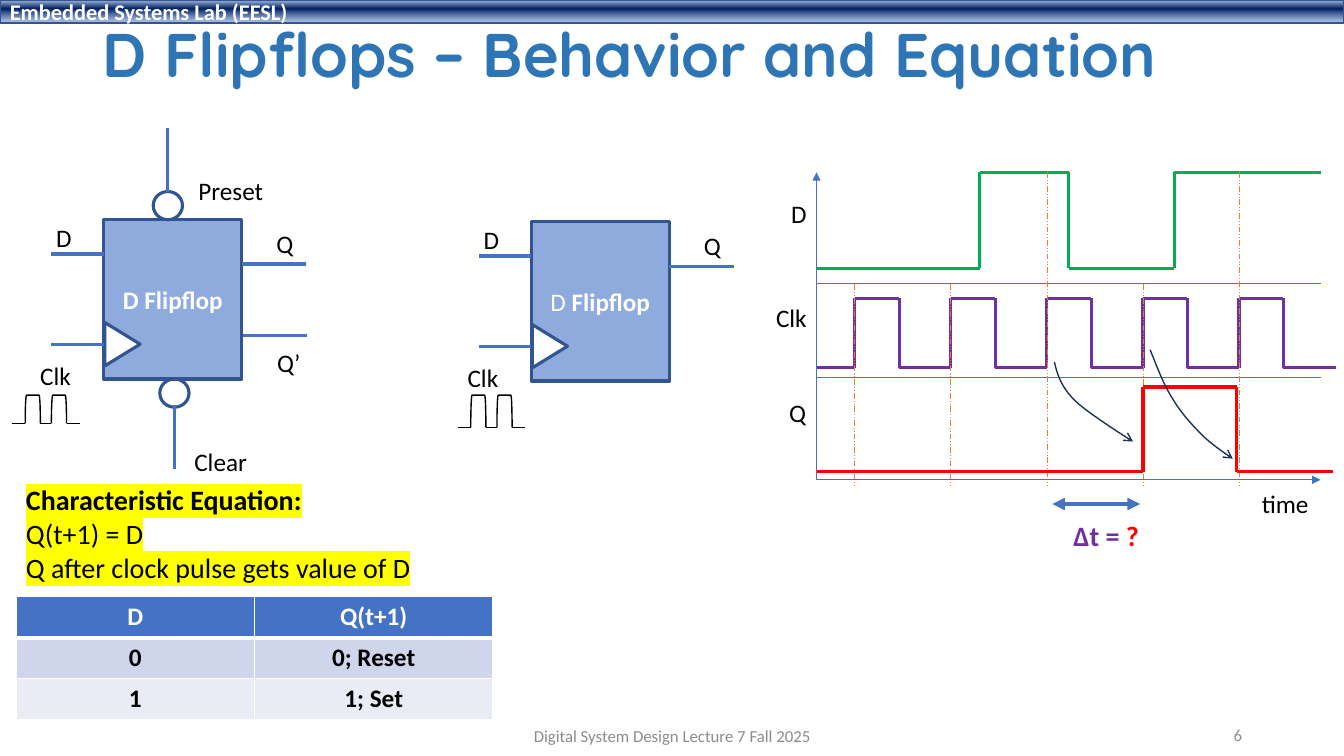
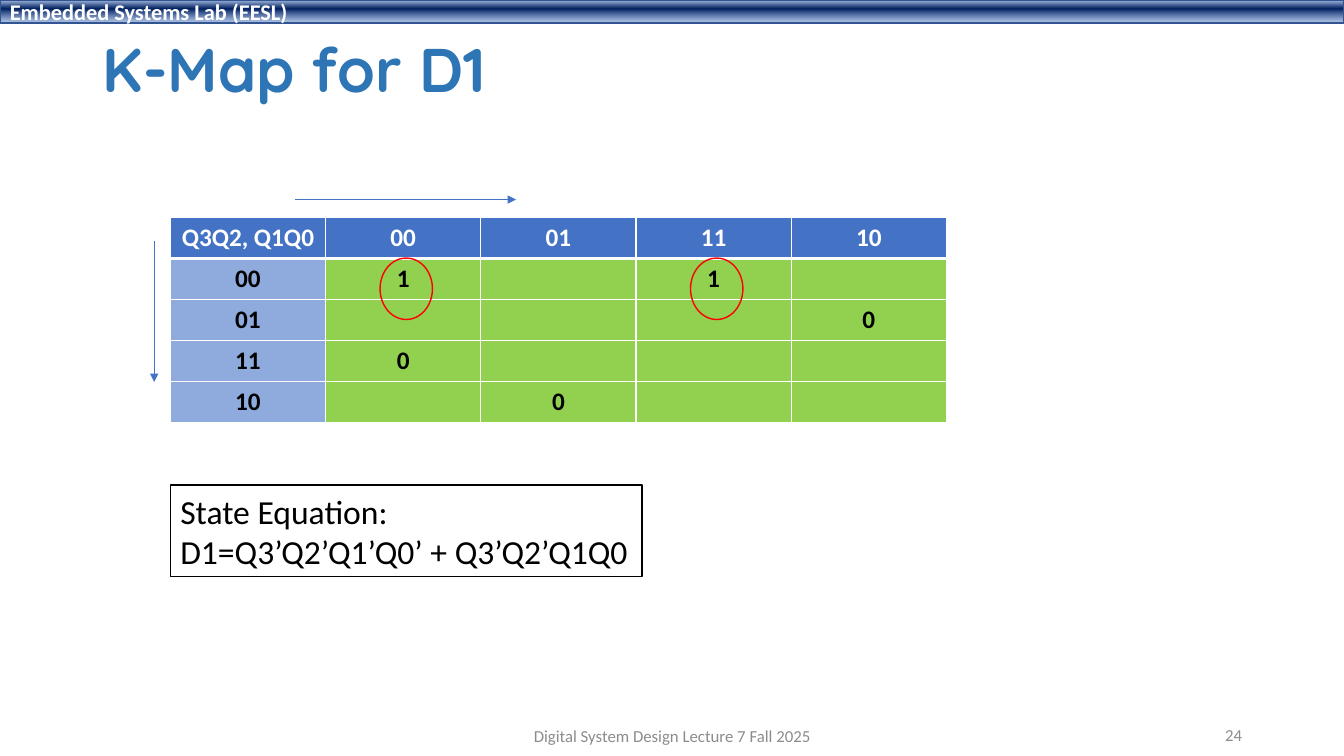
from dataclasses import dataclass
from itertools import pairwise

from lxml.etree import SubElement
from pptx import Presentation
from pptx.dml.color import RGBColor
from pptx.enum.dml import MSO_LINE
from pptx.enum.shapes import MSO_CONNECTOR, MSO_SHAPE
from pptx.enum.text import MSO_ANCHOR, MSO_AUTO_SIZE, PP_ALIGN
from pptx.oxml.ns import qn
from pptx.util import Inches, Pt

COLORS = {
    "white": "FFFFFF", "black": "000000", "title": "2E75B6", "blue": "4472C4",
    "outline": "325491", "chip": "8FAADC", "gray": "8C8C8C", "yellow": "FFFF00",
    "green": "00B050", "purple": "7030A0", "red": "FF0000", "orange": "ED7D31",
    "navy": "1E3256", "band_top": "ABC0E4", "band_middle": "002060",
    "band_bottom": "7E9ED6", "row_dark": "CFD5EA", "row_light": "E9EBF5",
    "map_cell": "92D050",
}
BODY_FONT = "Calibri"
TITLE_FONT = "Quicksand"
CELLS_PER_INCH = 10
COLUMNS, ROWS = 133.33, 75
BAND_STOPS = [(2, "band_top", 100), (38, "band_middle", 100), (93, "band_bottom", 64)]


@dataclass
class Span:
    text: str
    size: int = 18
    color: str = "black"
    bold: bool = False
    highlight: str = ""
    font: str = BODY_FONT


def cells(count):
    return Inches(count / CELLS_PER_INCH)


def grid(*counts):
    return [cells(count) for count in counts]


def rgb(name):
    return RGBColor.from_string(COLORS[name])


def add_color(parent, name):
    return SubElement(parent, qn("a:srgbClr"), val=COLORS[name])


def write_text(frame, paragraphs, align=PP_ALIGN.LEFT):
    for index, spans in enumerate(paragraphs):
        para = frame.add_paragraph() if index else frame.paragraphs[0]
        para.alignment = align
        for span in spans:
            run = para.add_run()
            run.text = span.text
            run.font.name = span.font
            run.font.size = Pt(span.size)
            run.font.bold = span.bold
            run.font.color.rgb = rgb(span.color)
            if span.highlight:
                properties = run.font.fill._xPr
                marker = SubElement(properties, qn("a:highlight"))
                add_color(marker, span.highlight)
                properties.find(qn("a:solidFill")).addnext(marker)


def add_label(canvas, place, *paragraphs):
    box = canvas.add_textbox(*grid(*place))
    box.text_frame.word_wrap = False
    box.text_frame.auto_size = MSO_AUTO_SIZE.SHAPE_TO_FIT_TEXT
    write_text(box.text_frame, paragraphs)


def add_box(canvas, kind, place, fill=None, outline="outline", width=2.25):
    box = canvas.add_shape(kind, *grid(*place))
    box.shadow.inherit = False
    if fill:
        box.fill.solid()
        box.fill.fore_color.rgb = rgb(fill)
    else:
        box.fill.background()
    box.line.color.rgb = rgb(outline)
    box.line.width = Pt(width)
    return box


def add_arrowheads(shape, heads):
    for end, kind in heads.items():
        SubElement(shape.line._get_or_add_ln(), qn(f"a:{end}End"), type=kind)


def add_line(canvas, start, end, color="blue", width=2.25, dash=None, **heads):
    line = canvas.add_connector(MSO_CONNECTOR.STRAIGHT, *grid(*start, *end))
    line.line.color.rgb = rgb(color)
    line.line.width = Pt(width)
    if dash:
        line.line.dash_style = dash
    add_arrowheads(line, heads)
    SubElement(line.element.spPr, qn("a:effectLst"))


def add_trace(canvas, points, color):
    for start, end in pairwise(points):
        add_line(canvas, start, end, color)


def bezier_points(start, controls, steps=10):
    points = [start]
    for first, second, end in controls:
        for step in range(1, steps + 1):
            t = step / steps
            weights = ((1 - t) ** 3, 3 * t * (1 - t) ** 2, 3 * t * t * (1 - t), t ** 3)
            corners = list(zip(weights, (start, first, second, end)))
            points.append(tuple(sum(w * corner[axis] for w, corner in corners) for axis in (0, 1)))
        start = end
    return points


def add_curved_arrow(canvas, start, *controls):
    points = [grid(*point) for point in bezier_points(start, controls)]
    builder = canvas.build_freeform(*points[0])
    builder.add_line_segments(points[1:], close=False)
    curve = builder.convert_to_shape()
    curve.shadow.inherit = False
    curve.fill.background()
    curve.line.color.rgb = rgb("navy")
    curve.line.width = Pt(1)
    add_arrowheads(curve, {"tail": "arrow"})


def set_borders(cell, top, bottom):
    properties = cell._tc.get_or_add_tcPr()
    for side, width in (("L", 1), ("R", 1), ("T", top), ("B", bottom)):
        border = SubElement(properties, qn(f"a:ln{side}"), w=str(Pt(width)))
        add_color(SubElement(border, qn("a:solidFill")), "white")


def add_grid_table(canvas, left, top, column, rows, fill_for):
    row_height = 4.06
    place = grid(left, top, column * len(rows[0]), row_height * len(rows))
    table = canvas.add_table(len(rows), len(rows[0]), *place).table
    for r, row in enumerate(rows):
        table.rows[r].height = cells(row_height)
        for c, text in enumerate(row):
            table.columns[c].width = cells(column)
            cell = table.cell(r, c)
            set_borders(cell, 3 if r == 1 else 1, 1 if r else 3)
            cell.fill.solid()
            cell.fill.fore_color.rgb = rgb(fill_for(r, c) if r else "blue")
            if text:
                span = Span(text, color="black" if r else "white", bold=True)
                write_text(cell.text_frame, [[span]], PP_ALIGN.CENTER)


def move_band_to_master(deck, page):
    band = add_box(page.shapes, MSO_SHAPE.RECTANGLE, (0, 0, COLUMNS, 2.3), "white", width=1)
    band.fill.gradient()
    band.fill.gradient_angle = 270
    stops = band.element.spPr.find(f".//{qn('a:gsLst')}")
    stops.clear()
    for position, name, opacity in BAND_STOPS:
        color = add_color(SubElement(stops, qn("a:gs"), pos=str(position * 1000)), name)
        SubElement(color, qn("a:alpha"), val=str(opacity * 1000))
    band.text_frame.vertical_anchor = MSO_ANCHOR.MIDDLE
    write_text(band.text_frame, [[Span("Embedded Systems Lab (EESL)", 16, "white", True)]])
    deck.slide_master.shapes.element.append(band.element)


def add_footer(canvas, place, text, align):
    box = canvas.add_textbox(*grid(*place))
    box.text_frame.word_wrap = True
    box.text_frame.vertical_anchor = MSO_ANCHOR.MIDDLE
    write_text(box.text_frame, [[Span(text, 12, "gray")]], align)


def add_page(deck, title, title_top, title_height, number):
    page = deck.slides.add_slide(deck.slide_layouts[5])
    holder = page.shapes.title
    holder.left, holder.top, holder.width, holder.height = grid(9.2, title_top, 115, title_height)
    frame = holder.text_frame
    frame.auto_size = MSO_AUTO_SIZE.NONE
    frame.vertical_anchor = MSO_ANCHOR.MIDDLE
    write_text(frame, [[Span(title, 44, "title", True, font=TITLE_FONT)]])
    frame.paragraphs[0].line_spacing = 0.9
    add_footer(page.shapes, (44.2, 71, 45, 4), "Digital System Design Lecture 7 Fall 2025", PP_ALIGN.CENTER)
    add_footer(page.shapes, (94.2, 70.9, 30, 4), number, PP_ALIGN.RIGHT)
    return page


def add_flipflop(page, left, top, name):
    canvas = page.shapes.add_group_shape().shapes
    right = left + 13.7
    chip = add_box(canvas, MSO_SHAPE.RECTANGLE, (left, top, 13.7, 15.8), "chip")
    chip.text_frame.vertical_anchor = MSO_ANCHOR.MIDDLE
    write_text(chip.text_frame, [name], PP_ALIGN.CENTER)
    clock_mark = add_box(canvas, MSO_SHAPE.ISOSCELES_TRIANGLE, (left - 0.3, top + 10.6, 4.3, 3.5), "white")
    clock_mark.rotation = 90
    for edge, reach, drop in ((left, -5.2, 3.4), (left, -5.2, 12.4), (right, 6.4, 4.4)):
        add_line(canvas, (edge, top + drop), (edge + reach, top + drop))
    for text, shift, drop, width in (("D", -5.7, -0.2, 3.6), ("Clk", -7.3, 13.5, 5.1), ("Q", 16.15, 0.4, 3.7)):
        add_label(canvas, (left + shift, top + drop, width, 4), [Span(text)])
    return canvas


def add_preset_and_clear(canvas, left, top):
    bottom = top + 15.8
    add_line(canvas, (left + 13.8, top + 11.5), (left + 20.2, top + 11.5))
    add_label(canvas, (left + 16.2, top + 12.2, 4.4, 4), [Span("Q’")])
    for center, circle_top, wire in ((left + 6.35, top - 2.8, (top - 2.8, top - 9.1)),
                                     (left + 7, bottom, (bottom + 2.6, bottom + 8.9))):
        add_box(canvas, MSO_SHAPE.OVAL, (center - 1.45, circle_top, 2.9, 2.8))
        add_line(canvas, (center, wire[0]), (center, wire[1]))
    add_label(canvas, (left + 8.4, top - 4.9, 8.5, 4), [Span("Preset")])
    add_label(canvas, (left + 8, bottom + 6.2, 7.3, 4), [Span("Clear")])


def add_pulses(page, left, base, height):
    canvas = page.shapes.add_group_shape().shapes
    width = 1.5
    for start in (1.3, 3.9):
        place = (left + start + (width - height) / 2, base - (height + width) / 2, height, width)
        add_box(canvas, MSO_SHAPE.LEFT_BRACKET, place, outline="black", width=1).rotation = 90
    for start, end in ((0, 1.3), (2.8, 3.9), (5.4, 6.7)):
        add_line(canvas, (left + start, base), (left + end, base), "black", 1)


def add_timing_diagram(page):
    canvas = page.shapes
    left, right, top, bottom = 81, 131, 17.1, 47.6
    rises = [84.8 + 9.53 * index for index in range(5)]
    high, low = 29.6, 36.5
    add_trace(canvas, [(left, 26.6), (97.2, 26.6), (97.2, top), (106, top), (106, 26.6),
                       (116.5, 26.6), (116.5, top), (right, top)], "green")
    for separator in (28.1, 37.4):
        add_line(canvas, (left, separator), (right, separator), width=0.5)
    clock = [(left, low)]
    for rise in rises:
        clock += [(rise, low), (rise, high), (rise + 4.4, high), (rise + 4.4, low)]
    add_trace(canvas, clock + [(132.5, low)], "purple")
    for index, rise in enumerate(rises):
        guide_top = top if index in (2, 4) else 28.2
        add_line(canvas, (rise, guide_top), (rise, 48.2), "orange", 0.5, MSO_LINE.DASH_DOT_DOT)
    add_trace(canvas, [(left, 46.8), (rises[3], 46.8), (rises[3], 38.4), (122.7, 38.4),
                       (122.7, 46.8), (132.2, 46.8)], "red")
    for text, x, y, width in (("D", 77.5, 19.2, 3.6), ("Clk", 76, 29.5, 5.1),
                              ("Q", 77.3, 38.9, 3.7), ("time", 124.2, 48, 6.7)):
        add_label(canvas, (x, y, width, 4), [Span(text)])
    for axis_end in ((left, top), (right, bottom)):
        add_line(canvas, (left, bottom), axis_end, width=0.5, tail="triangle")
    add_line(canvas, (104.4, 50), (113.1, 50), width=3, head="triangle", tail="triangle")
    add_label(canvas, (105.5, 50.9, 8.6, 4.4),
              [Span("Δt = ", 20, "purple", True), Span("?", 20, "red", True)])
    add_curved_arrow(canvas, (114.1, 34.7), ((114.8, 36.4), (115.4, 38.1), (116.3, 39.5)),
                     ((117.1, 40.9), (118.3, 42.2), (119.3, 43.2)),
                     ((120.3, 44.2), (122.3, 45.5), (122.3, 45.5)))
    add_curved_arrow(canvas, (104.6, 35.9), ((104.9, 37.2), (105.3, 38.4), (106.6, 39.7)),
                     ((107.9, 41), (112.4, 43.8), (112.4, 43.8)))


def fill_flipflop_page(page):
    bold_name = Span("Flipflop", color="white", bold=True)
    full = add_flipflop(page, 10.3, 21.8, [Span("D ", color="white", bold=True), bold_name])
    add_preset_and_clear(full, 10.3, 21.8)
    add_flipflop(page, 52.7, 22, [Span("D ", color="white"), bold_name])
    add_pulses(page, 1.2, 42, 2.8)
    add_pulses(page, 45.4, 42.4, 3.2)
    lines = ["Characteristic Equation:", "Q(t+1) = D", "Q after clock pulse gets value of D"]
    add_label(page.shapes, (1.6, 47.4, 40.6, 11.1),
              *[[Span(text, 20, bold=index == 0, highlight="yellow")] for index, text in enumerate(lines)])
    add_grid_table(page.shapes, 1.6, 59.2, 23.65,
                   [("D", "Q(t+1)"), ("0", "0; Reset"), ("1", "1; Set")],
                   lambda row, column: "row_dark" if row % 2 else "row_light")
    add_timing_diagram(page)


def fill_map_page(page):
    canvas = page.shapes
    left, top, column = 16.9, 21.6, 15.4
    add_grid_table(canvas, left, top, column, [
        ("Q3Q2, Q1Q0", "00", "01", "11", "10"),
        ("00", "1", "", "1", ""),
        ("01", "", "", "", "0"),
        ("11", "0", "", "", ""),
        ("10", "", "0", "", ""),
    ], lambda row, column: "map_cell" if column else "chip")
    for index in (1, 3):
        place = (left + column * index + 5.4, top + 4, 5.2, 6.1)
        add_box(canvas, MSO_SHAPE.OVAL, place, outline="red", width=1)
    add_line(canvas, (15.3, 23.9), (15.3, 37.9), width=0.5, tail="triangle")
    add_line(canvas, (29.3, 19.8), (51.2, 19.8), width=0.5, tail="triangle")
    equation = add_box(canvas, MSO_SHAPE.RECTANGLE, (left, 48.1, 46.8, 9.1), "white", "black", 1)
    equation.text_frame.word_wrap = False
    write_text(equation.text_frame, [[Span("State Equation:", 24)], [Span("D1=Q3’Q2’Q1’Q0’ + Q3’Q2’Q1Q0", 24)]])


def main():
    deck = Presentation()
    deck.slide_width, deck.slide_height = grid(COLUMNS, ROWS)
    flipflop_page = add_page(deck, "D Flipflops – Behavior and Equation", 1.6, 8.3, "6")
    move_band_to_master(deck, flipflop_page)
    fill_flipflop_page(flipflop_page)
    fill_map_page(add_page(deck, "K-Map for D1", 3.3, 7.7, "24"))
    deck.save("out.pptx")


if __name__ == "__main__":
    main()
